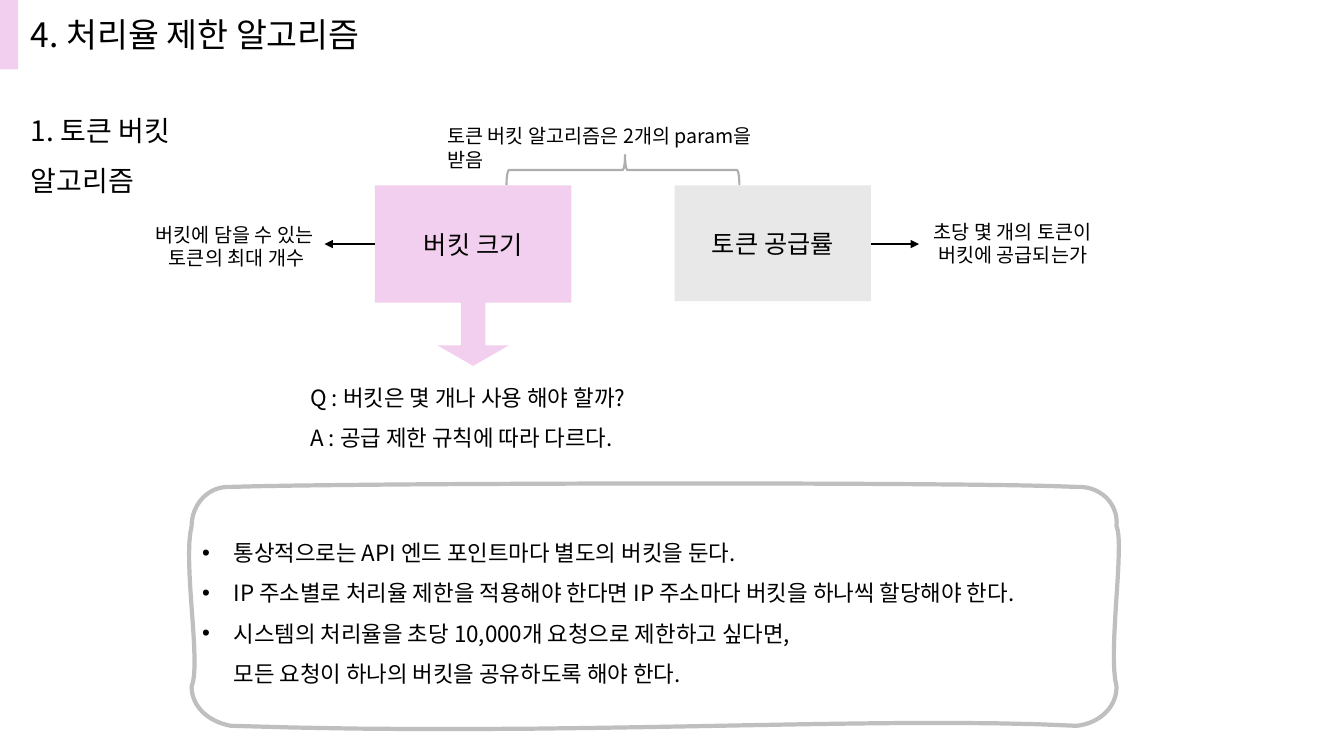
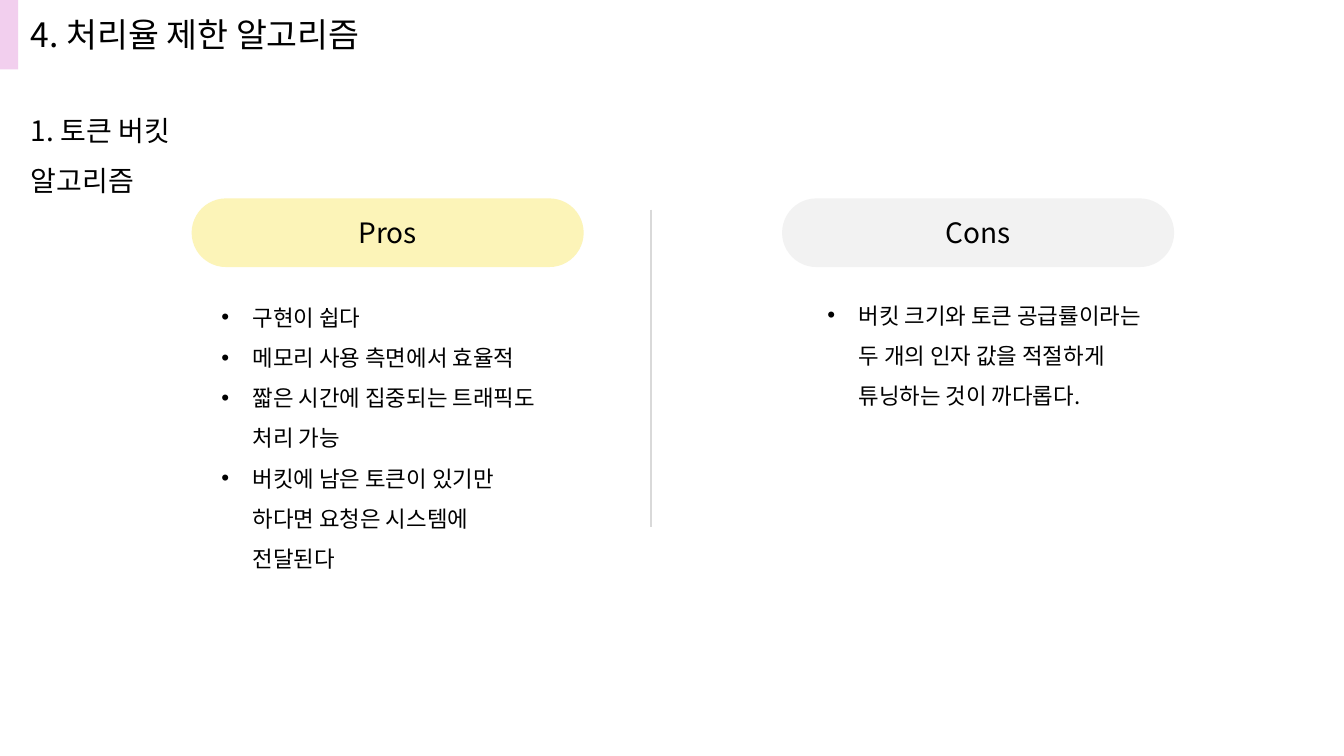
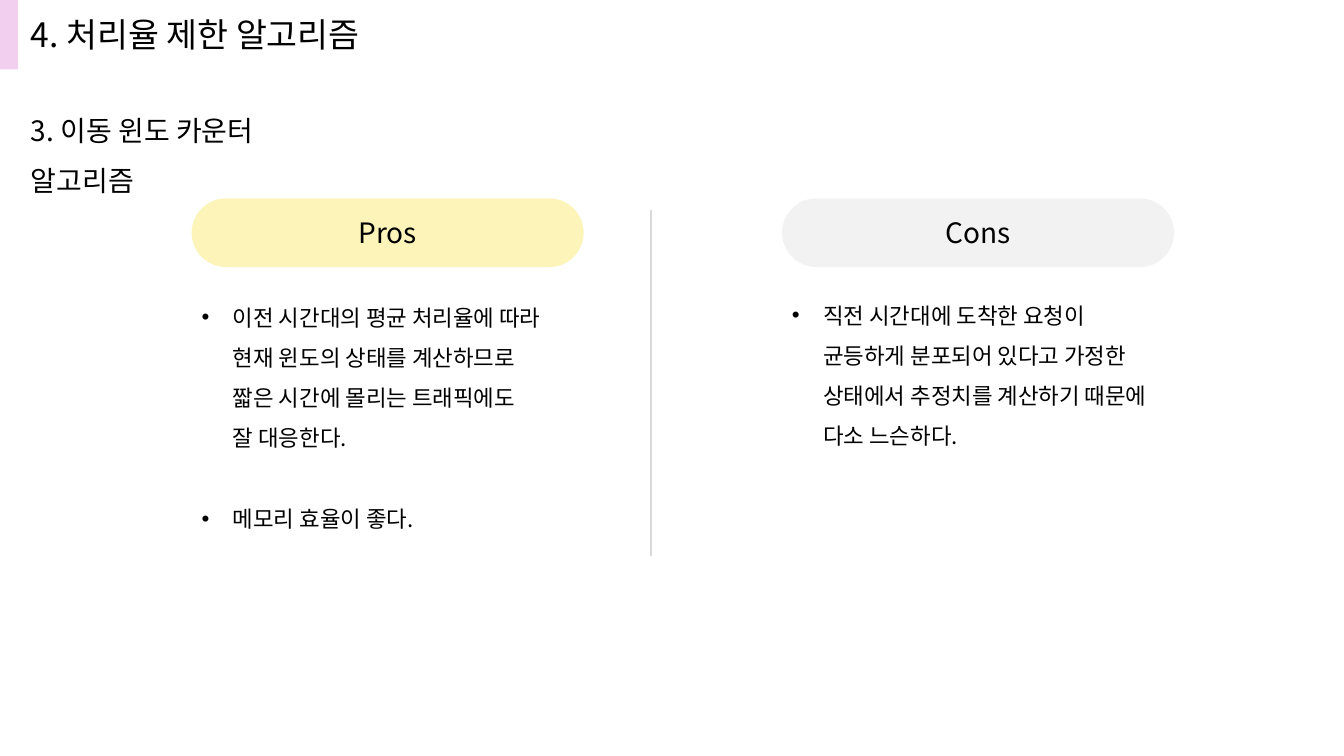
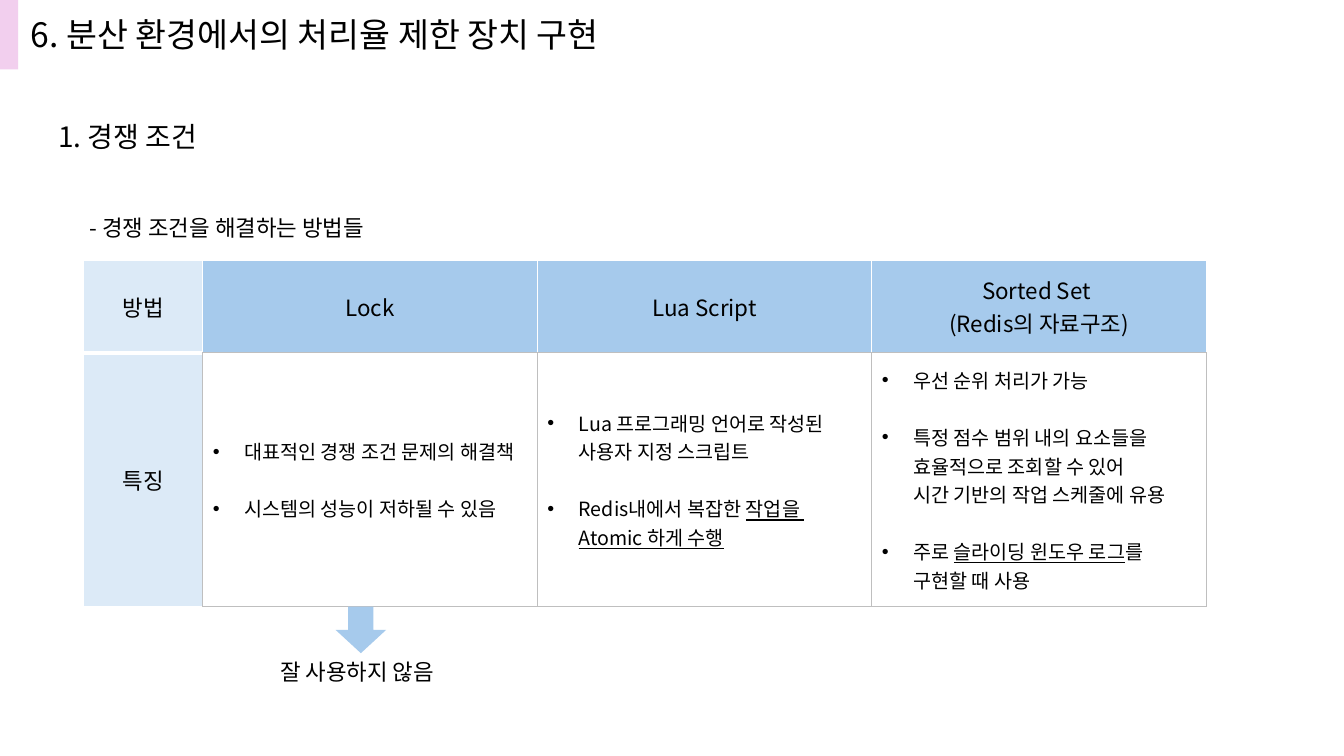
"""Build four slides on rate limiting algorithms."""
import copy

import lxml.etree
import pptx
import pptx.dml.color
import pptx.enum.shapes
import pptx.enum.text
import pptx.oxml.ns
import pptx.util

Cm = pptx.util.Cm
Pt = pptx.util.Pt
RGB = pptx.dml.color.RGBColor.from_string
qn = pptx.oxml.ns.qn
SHAPE = pptx.enum.shapes.MSO_SHAPE
STRAIGHT = pptx.enum.shapes.MSO_CONNECTOR.STRAIGHT
ALIGN = pptx.enum.text.PP_ALIGN
MIDDLE = pptx.enum.text.MSO_ANCHOR.MIDDLE
FIT = pptx.enum.text.MSO_AUTO_SIZE.SHAPE_TO_FIT_TEXT

FONT = "Noto Sans CJK KR"
COLORS = {
    "text": "000000", "white": "FFFFFF", "pink": "F2CFEE", "gray": "E8E8E8",
    "brace": "AEAEAE", "frame": "BFBFBF", "divider": "D9D9D9",
    "pros": "FCF4B8", "cons": "F2F2F2", "head": "A6CAEC", "side": "DCEAF7",
}


def write(frame, texts, size, align=None, spacing=None, bullet=False, gap=0):
    """Write paragraphs; text between underscores is underlined."""
    frame.word_wrap = True
    for index, text in enumerate(texts):
        para = frame.add_paragraph() if index else frame.paragraphs[0]
        para.alignment = align
        if spacing:
            para.line_spacing = spacing
        if index and gap:
            para.space_before = Pt(gap)
        if bullet:
            props = para._p.get_or_add_pPr()
            props.set("marL", str(Cm(0.79)))
            props.set("indent", str(-Cm(0.79)))
            lxml.etree.SubElement(props, qn("a:buFont")).set("typeface", "Arial")
            lxml.etree.SubElement(props, qn("a:buChar")).set("char", "•")
        for part, piece in enumerate(text.split("_")):
            for row, line in enumerate(piece.split("\n")):
                if row:
                    para.add_line_break()
                if line:
                    span = para.add_run()
                    span.text = line
                    span.font.size = Pt(size)
                    span.font.name = FONT
                    span.font.color.rgb = RGB(COLORS["text"])
                    if part % 2:
                        span.font.underline = True
                    east = lxml.etree.SubElement(span._r.get_or_add_rPr(), qn("a:ea"))
                    east.set("typeface", FONT)
        for line_break in para._p.findall(qn("a:br")):
            line_break.append(copy.deepcopy(para.runs[0]._r.rPr))


def add_box(page, area, texts=(), size=16, kind=None, fill=None, **style):
    """Add a text box, or a filled preset shape when a kind is given."""
    lengths = [Cm(value) for value in area]
    if kind is None:
        box = page.shapes.add_textbox(*lengths)
        box.text_frame.auto_size = FIT
    else:
        box = page.shapes.add_shape(kind, *lengths)
        box.shadow.inherit = False
        box.line.fill.background()
        if fill:
            box.fill.solid()
            box.fill.fore_color.rgb = RGB(COLORS[fill])
        else:
            box.fill.background()
        box.text_frame.vertical_anchor = MIDDLE
        style = {"align": ALIGN.CENTER, **style}
    if texts:
        write(box.text_frame, texts, size, **style)
    return box


deck = pptx.Presentation()
deck.slide_width, deck.slide_height = Cm(33.87), Cm(19.05)

ALGORITHMS = "4. 처리율 제한 알고리즘"
TOKEN = "1. 토큰 버킷 알고리즘"
headings = [
    (ALGORITHMS, 8.8, TOKEN, (0.53, 2.31, 6.7, 1.4)),
    (ALGORITHMS, 8.8, TOKEN, (0.53, 2.31, 6.7, 1.4)),
    (ALGORITHMS, 8.8, "3. 이동 윈도 카운터 알고리즘", (0.53, 2.31, 8.8, 1.4)),
    ("6. 분산 환경에서의 처리율 제한 장치 구현", 15, "1. 경쟁 조건", (1.22, 2.46, 5.33, 1.4)),
]
pages = []
for title, title_width, subtitle, subtitle_area in headings:
    page = deck.slides.add_slide(deck.slide_layouts[6])
    add_box(page, (0, 0, 0.46, 1.75), kind=SHAPE.RECTANGLE, fill="pink")
    add_box(page, (0.53, 0.23, title_width, 1.28), [title], 24)
    add_box(page, subtitle_area, [subtitle], 20, spacing=1.5)
    pages.append(page)
bucket_page, token_page, window_page, race_page = pages

bucket = add_box(bucket_page, (9.45, 4.67, 4.95, 4.55), ["버킷 크기"], 18,
                 SHAPE.DOWN_ARROW_CALLOUT, "pink")
for index, value in enumerate((0.137, 0.199, 0.114, 0.65)):
    bucket.adjustments[index] = value
add_box(bucket_page, (17, 4.67, 4.95, 2.92), ["토큰 공급률"], 18, SHAPE.RECTANGLE, "gray")
brace = add_box(bucket_page, (15.32, 1.35, 0.76, 5.87), kind=SHAPE.RIGHT_BRACE)
brace.rotation = 270
brace.adjustments[0], brace.adjustments[1] = 0.083, 0.509
brace.line.color.rgb = RGB(COLORS["brace"])
brace.line.width = Pt(1.5)
add_box(bucket_page, (11.02, 3, 9.2, 0.86), ["토큰 버킷 알고리즘은 2개의 param을 받음"], 14)
add_box(bucket_page, (2.84, 5.49, 6.25, 1.45),
        ["버킷에 담을 수 있는 ", "토큰의 최대 개수"], 14, align=ALIGN.CENTER)
add_box(bucket_page, (22.4, 5.41, 6.25, 1.45),
        ["초당 몇 개의 토큰이", "버킷에 공급되는가"], 14, align=ALIGN.CENTER)
add_box(bucket_page, (7.57, 9.22, 9.2, 2.18),
        ["Q : 버킷은 몇 개나 사용 해야 할까?", "A : 공급 제한 규칙에 따라 다르다."], spacing=1.5)

start = (4.83, 13.26)
curves = [
    ((4.83, 12.73), (5.23, 12.24), (5.82, 12.27)),
    ((8.86, 12.17), (24.33, 12.14), (27.13, 12.27)),
    ((27.69, 12.24), (28.19, 12.65), (28.14, 13.26)),
    ((28.35, 13.72), (27.91, 16.46), (28.14, 17.3)),
    ((28.14, 17.88), (27.64, 18.24), (27.13, 18.29)),
    ((22.05, 18.03), (14.2, 18.57), (5.82, 18.29)),
    ((5.26, 18.19), (4.83, 17.81), (4.83, 17.3)),
    ((5.08, 16.74), (4.6, 14.15), (4.83, 13.26)),
]
STEPS = 16
outline = []
for first, second, end in curves:
    for step in range(1, STEPS + 1):
        t = step / STEPS
        weights = ((1 - t) ** 3, 3 * t * (1 - t) ** 2, 3 * t * t * (1 - t), t ** 3)
        corners = (start, first, second, end)
        outline.append(tuple(
            Cm(sum(weight * corner[axis] for weight, corner in zip(weights, corners)))
            for axis in (0, 1)))
    start = end
builder = bucket_page.shapes.build_freeform(*outline[-1])
builder.add_line_segments(outline, close=True)
summary = builder.convert_to_shape()
summary.shadow.inherit = False
summary.fill.background()
summary.line.color.rgb = RGB(COLORS["frame"])
summary.line.width = Pt(3)
summary.text_frame.vertical_anchor = MIDDLE
summary.text_frame.margin_left = Cm(0.33)
write(summary.text_frame, [
    "통상적으로는 API 엔드 포인트마다 별도의 버킷을 둔다.",
    "IP 주소별로 처리율 제한을 적용해야 한다면 IP 주소마다 버킷을 하나씩 할당해야 한다.",
    "시스템의 처리율을 초당 10,000개 요청으로 제한하고 싶다면, \n모든 요청이 하나의 버킷을 공유하도록 해야 한다.",
], 16, ALIGN.LEFT, 1.5, True)

comparisons = [
    (token_page, (5.33, 20.6), 8.84,
     ["구현이 쉽다", "메모리 사용 측면에서 효율적", "짧은 시간에 집중되는 트래픽도 처리 가능",
      "버킷에 남은 토큰이 있기만 하다면 요청은 시스템에 전달된다"], 0,
     ["버킷 크기와 토큰 공급률이라는 두 개의 인자 값을 적절하게 \n튜닝하는 것이 까다롭다."]),
    (window_page, (4.83, 19.71), 9.88,
     ["이전 시간대의 평균 처리율에 따라 \n현재 윈도의 상태를 계산하므로 \n"
      "짧은 시간에 몰리는 트래픽에도 \n잘 대응한다.", "메모리 효율이 좋다."], 28.7,
     ["직전 시간대에 도착한 요청이 \n균등하게 분포되어 있다고 가정한 \n"
      "상태에서 추정치를 계산하기 때문에 다소 느슨하다."]),
]
for page, lefts, width, pros, gap, cons in comparisons:
    for label, fill, left in (("Pros", "pros", 4.83), ("Cons", "cons", 19.71)):
        pill = add_box(page, (left, 5, 9.88, 1.73), [label], 20, SHAPE.ROUNDED_RECTANGLE, fill)
        pill.adjustments[0] = 0.5
    add_box(page, (lefts[0], 7.19, width, 6.3), pros, spacing=1.5, bullet=True, gap=gap)
    add_box(page, (lefts[1], 7.14, width, 4.24), cons, spacing=1.5, bullet=True)

lines = [
    (bucket_page, (9.45, 6.15, 8.18, 6.15), "text", True),
    (bucket_page, (21.95, 6.15, 23.16, 6.15), "text", True),
    (token_page, (16.41, 5.28, 16.41, 13.28), "divider", False),
    (window_page, (16.41, 5.28, 16.41, 14), "divider", False),
]
for page, ends, color, arrow in lines:
    line = page.shapes.add_connector(STRAIGHT, *[Cm(value) for value in ends])
    line.line.color.rgb = RGB(COLORS[color])
    line.line.width = Pt(1.5)
    props = line._element.spPr
    if arrow:
        lxml.etree.SubElement(props.find(qn("a:ln")), qn("a:tailEnd")).set("type", "triangle")
    lxml.etree.SubElement(props, qn("a:effectLst"))

rows = [
    [["방법"], ["Lock"], ["Lua Script"], ["Sorted Set \n(Redis의 자료구조)"]],
    [["특징"],
     ["대표적인 경쟁 조건 문제의 해결책", "시스템의 성능이 저하될 수 있음"],
     ["Lua 프로그래밍 언어로 작성된 \n사용자 지정 스크립트",
      "Redis내에서 복잡한 _작업을 \nAtomic 하게 수행_"],
     ["우선 순위 처리가 가능",
      "특정 점수 범위 내의 요소들을 \n효율적으로 조회할 수 있어 \n시간 기반의 작업 스케줄에 유용",
      "주로 _슬라이딩 윈도우 로그_를 \n구현할 때 사용"]],
]
table = race_page.shapes.add_table(2, 4, Cm(2.11), Cm(6.55), Cm(28.29), Cm(8.74)).table
table.first_row = table.horz_banding = False
for column, width in zip(table.columns, (3, 8.43, 8.43, 8.43)):
    column.width = Cm(width)
for row, height in zip(table.rows, (2.34, 6.4)):
    row.height = Cm(height)
WHITE, GRAY, THICK = ("white", 1), ("frame", 0.75), ("white", 3)
for r, row in enumerate(rows):
    for c, texts in enumerate(row):
        cell = table.cell(r, c)
        cell.vertical_anchor = MIDDLE
        body = r == 1 and c > 0
        if body:
            write(cell.text_frame, texts, 14, bullet=True, gap=20.4)
            borders = (GRAY, GRAY, GRAY, GRAY)
        else:
            write(cell.text_frame, texts, 16, ALIGN.CENTER)
            borders = (WHITE, GRAY if r else WHITE,
                       THICK if r else WHITE,
                       WHITE if r else GRAY if c else THICK)
        props = cell._tc.get_or_add_tcPr()
        for side, (color, weight) in zip("LRTB", borders):
            edge = lxml.etree.SubElement(props, qn("a:ln" + side))
            edge.set("w", str(Pt(weight)))
            paint = lxml.etree.SubElement(edge, qn("a:solidFill"))
            lxml.etree.SubElement(paint, qn("a:srgbClr")).set("val", COLORS[color])
        cell.fill.solid()
        cell.fill.fore_color.rgb = RGB(COLORS["white" if body else "head" if c else "side"])

add_box(race_page, (2.01, 5.26, 9.12, 0.94), ["- 경쟁 조건을 해결하는 방법들"])
add_box(race_page, (8.46, 15.29, 1.27, 1.17), kind=SHAPE.DOWN_ARROW, fill="head")
add_box(race_page, (6.81, 16.46, 4.8, 0.94), ["잘 사용하지 않음"])

deck.save("out.pptx")
